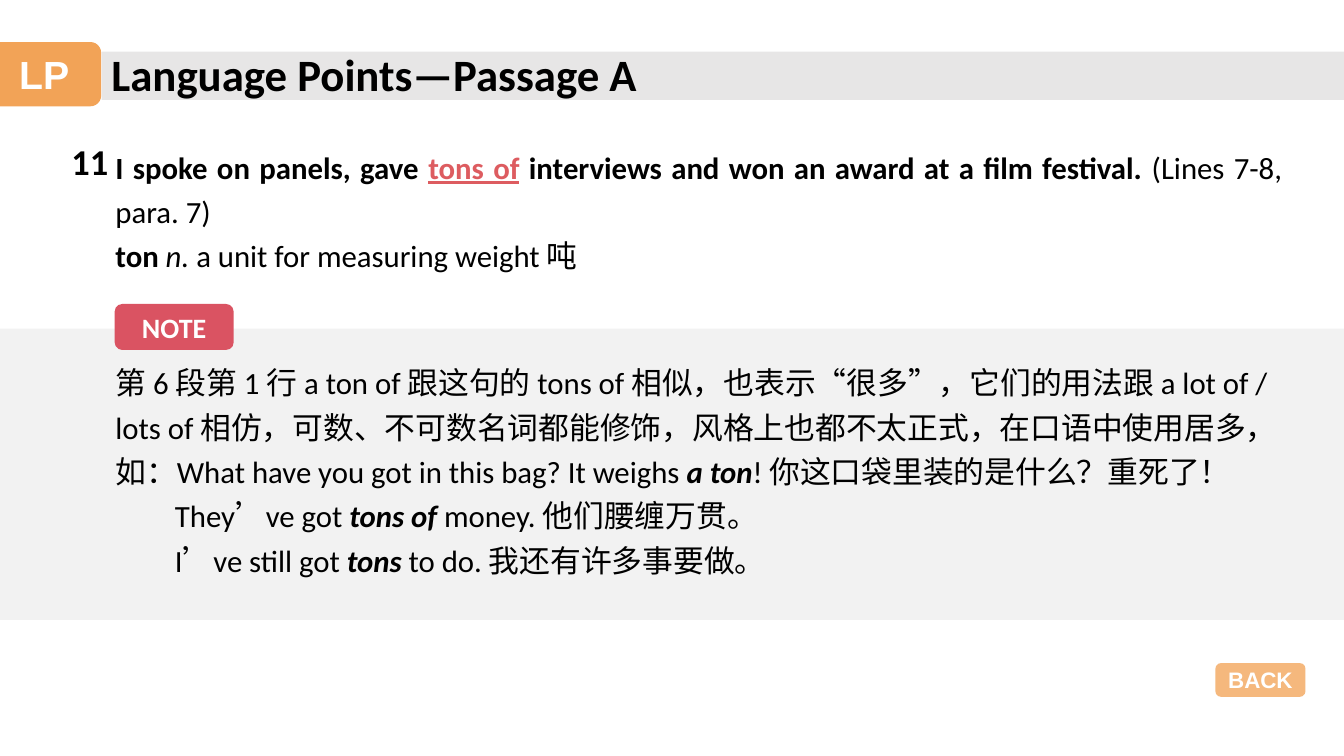
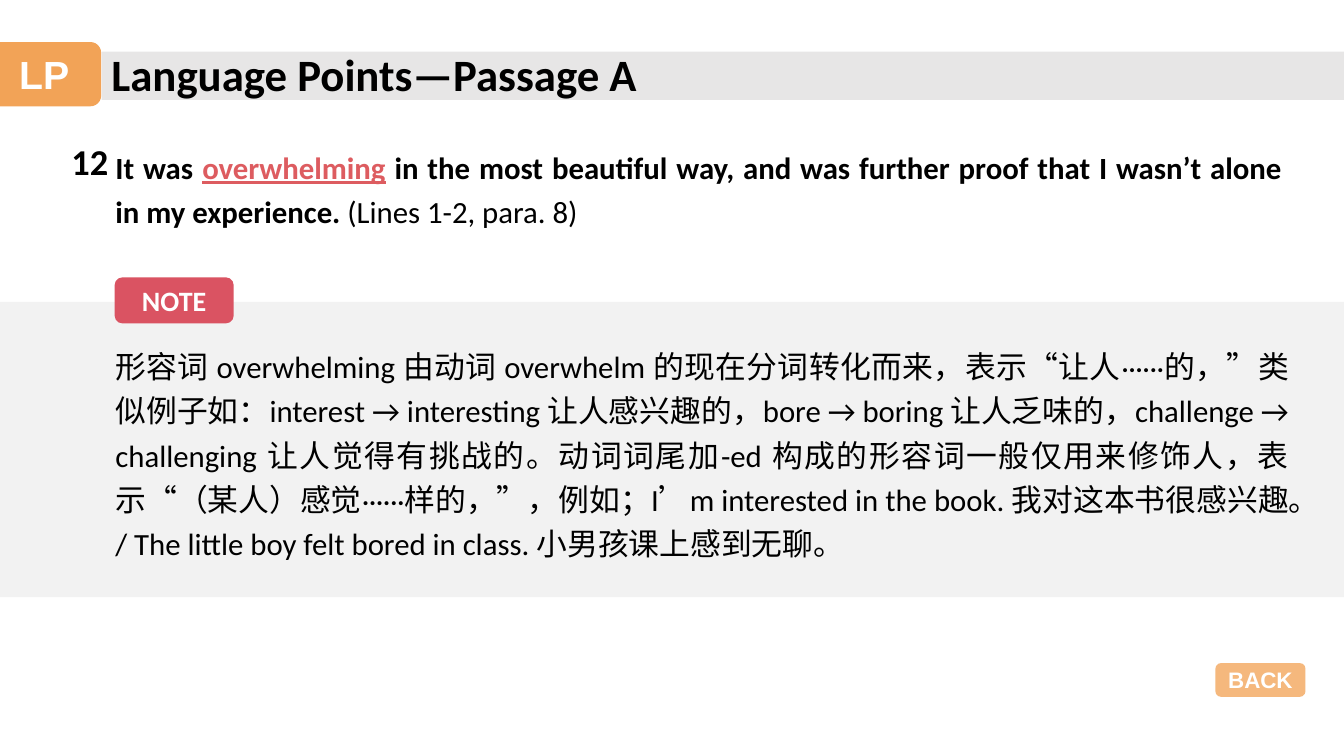
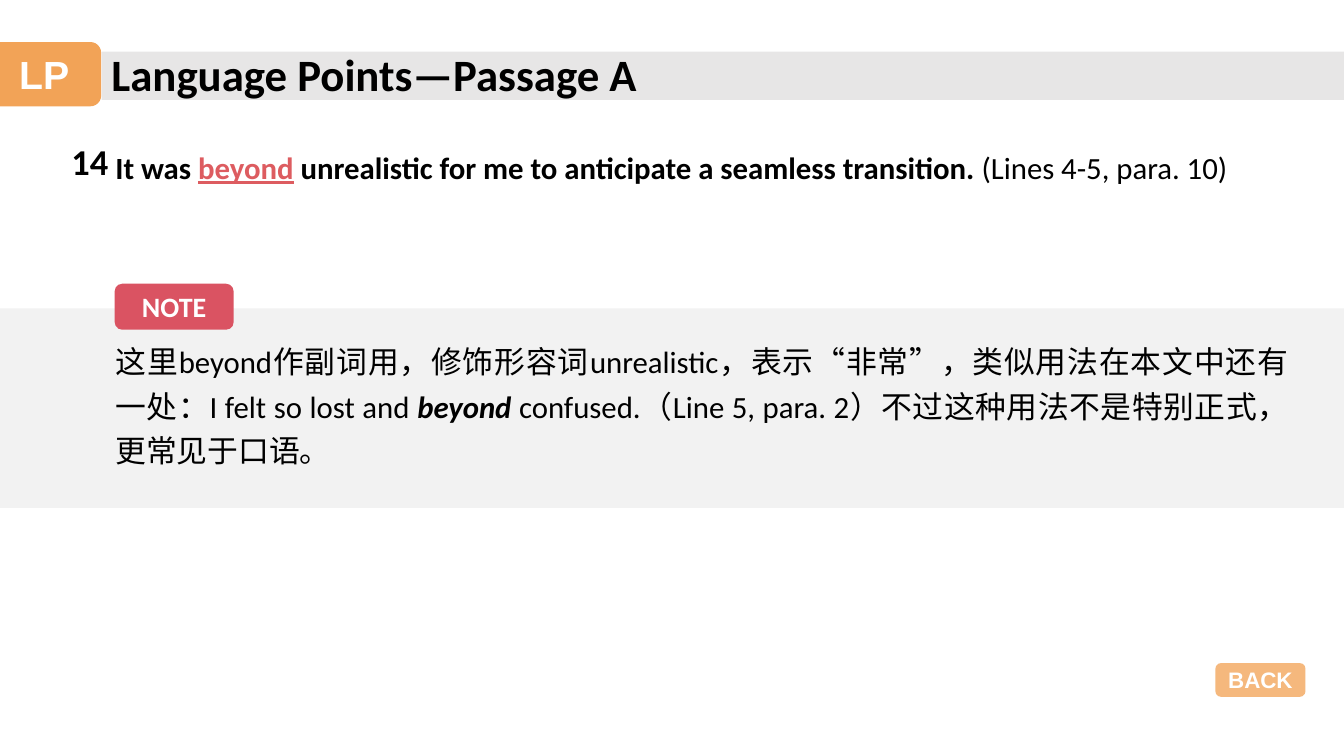
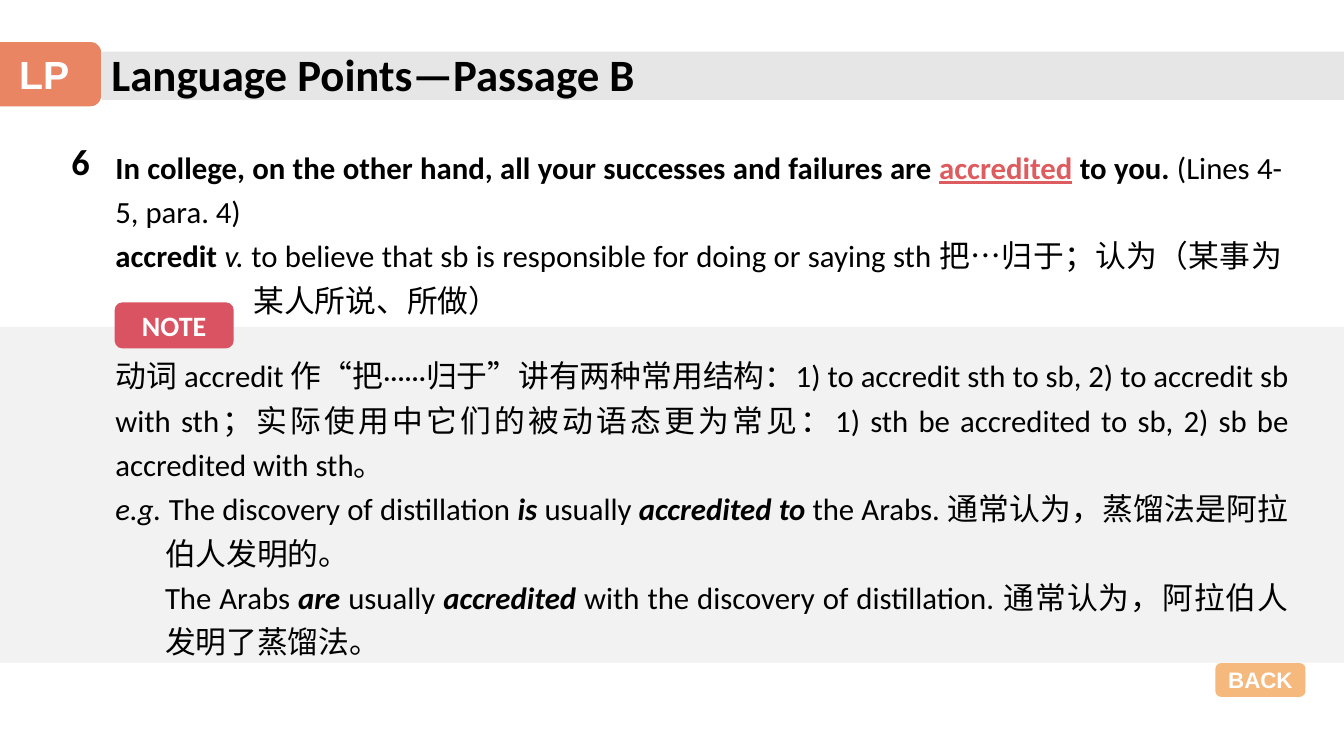
from dataclasses import dataclass

from lxml.etree import SubElement
from pptx import Presentation
from pptx.dml.color import RGBColor
from pptx.enum.lang import MSO_LANGUAGE_ID as Language
from pptx.enum.shapes import MSO_SHAPE as Shape
from pptx.enum.text import MSO_ANCHOR as Anchor, MSO_AUTO_SIZE as AutoSize, PP_ALIGN as Align
from pptx.oxml.ns import qn
from pptx.util import Cm, Pt

BLACK = RGBColor(0x00, 0x00, 0x00)
WHITE = RGBColor(0xFF, 0xFF, 0xFF)
ORANGE = RGBColor(0xF1, 0x9B, 0x48)
TAB_A = RGBColor(0xF2, 0xA3, 0x57)
TAB_B = RGBColor(0xE9, 0x85, 0x62)
RED = RGBColor(0xDA, 0x53, 0x62)
KEYWORD = RGBColor(0xDD, 0x5C, 0x60)
TITLE_BAND = RGBColor(0xE7, 0xE6, 0xE6)
NOTE_BAND = RGBColor(0xF2, 0xF2, 0xF2)

SLIDE_WIDTH, SLIDE_HEIGHT = 33.87, 19.05
TEXT_LEFT = 2.66
TAG_RISE = 0.62

BOLD = {"bold": True}
ITALIC = {"italic": True}
STRESS = {"bold": True, "italic": True}
KEY = {"bold": True, "underline": True, "color": KEYWORD}
DOTS = ("······", {"size": 20})


@dataclass
class Line:
    spans: list
    left: float = 0
    first: float = 0


@dataclass
class Point:
    passage: str
    tab: RGBColor
    number: str
    sentence: list
    sentence_height: float
    band_top: float
    band_height: float
    note: list
    note_top: float
    note_height: float
    note_width: float = 30.07


POINTS = [
    Point(
        "A", TAB_A, "11",
        [
            Line([("I spoke on panels, gave ", BOLD), ("tons of", KEY),
                  (" interviews and won an award at a film festival. ", BOLD),
                  "(Lines 7-8, para. 7)"]),
            Line([("ton ", BOLD), ("n. ", ITALIC), "a unit for measuring weight 吨"]),
        ],
        3.56, 8.28, 7.34,
        [
            Line(["第 6 段第 1 行 a ton of 跟这句的 tons of 相似，也表示“很多”，它们的用法跟 a lot of /"]),
            Line(["lots of 相仿，可数、不可数名词都能修饰，风格上也都不太正式，在口语中使用居多，"]),
            Line(["如：What have you got in this bag? It weighs ", ("a ton", STRESS),
                  "! 你这口袋里装的是什么？重死了！"]),
            Line(["They’ve got ", ("tons of ", STRESS), "money. 他们腰缠万贯。"], left=1.5),
            Line(["I’ve still got ", ("tons", STRESS), " to do. 我还有许多事要做。"], left=1.5),
        ],
        8.86, 5.82, 31.3,
    ),
    Point(
        "A", TAB_A, "12",
        [
            Line([("It was ", BOLD), ("overwhelming", KEY),
                  (" in the most beautiful way, and was further proof that I wasn’t alone "
                   "in my experience. ", BOLD),
                  "(Lines 1-2, para. 8)"]),
        ],
        2.44, 7.61, 7.44,
        [
            Line(["形容词 overwhelming 由动词 overwhelm 的现在分词转化而来，表示“让人", DOTS,
                  "的，”类似例子如：interest → interesting 让人感兴趣的，bore → boring 让人乏味的，"
                  "challenge → challenging 让人觉得有挑战的。动词词尾加-ed 构成的形容词一般仅用来"
                  "修饰人，表示“（某人）感觉", DOTS,
                  "样的，”，例如；I’m interested in the book. 我对这本书很感兴趣。"
                  "/ The little boy felt bored in class. 小男孩课上感到无聊。"]),
        ],
        8.45, 6,
    ),
    Point(
        "A", TAB_A, "14",
        [
            Line([("It was ", BOLD), ("beyond", KEY),
                  (" unrealistic for me to anticipate a seamless transition. ", BOLD),
                  "(Lines 4-5, para. 10)"], left=1.47, first=-1.47),
        ],
        1.32, 7.77, 5.03,
        [
            Line(["这里beyond作副词用，修饰形容词unrealistic，表示“非常”，类似用法在本文中还"
                  "有一处：I felt so lost and ", ("beyond", STRESS),
                  " confused.（Line 5, para. 2）不过这种用法不是特别正式，更常见于口语。"]),
        ],
        8.33, 3.56,
    ),
    Point(
        "B", TAB_B, "6",
        [
            Line([("In college, on the other hand, all your successes and failures are ", BOLD),
                  ("accredited", KEY), (" to you. ", BOLD), "(Lines 4-5, para. 4)"]),
            Line([("accredit ", BOLD), ("v.", ITALIC),
                  " to believe that sb is responsible for doing or saying sth "
                  "把…归于；认为（某事为某人所说、所做）"], left=3.48, first=-3.48),
        ],
        4.67, 8.24, 8.46,
        [
            Line(["动词 accredit 作“把", DOTS,
                  "归于”讲有两种常用结构：1) to accredit sth to sb, 2) to accredit sb with sth；"
                  "实际使用中它们的被动语态更为常见：1) sth be accredited to sb, "
                  "2) sb be accredited with sth。"]),
            Line([("e.g. ", ITALIC), "The discovery of distillation ", ("is", STRESS), " usually ",
                  ("accredited to", STRESS), " the Arabs. 通常认为，蒸馏法是阿拉伯人发明的。"],
                 left=1.25, first=-1.25),
            Line(["The Arabs ", ("are", STRESS), " usually ", ("accredited ", STRESS),
                  "with the discovery of distillation. 通常认为，阿拉伯人发明了蒸馏法。"], left=1.25),
        ],
        8.69, 8.26,
    ),
]


def write(para, text, *, size=22, font="Calibri", color=BLACK, bold=False, italic=False,
          underline=False, language=None):
    span = para.add_run()
    span.text = text
    span.font.size = Pt(size)
    span.font.name = font
    span.font.color.rgb = color
    span.font.bold = bold
    span.font.italic = italic
    span.font.underline = underline
    span.font.language_id = language


def add_box(page, left, top, width, height):
    box = page.shapes.add_textbox(Cm(left), Cm(top), Cm(width), Cm(height))
    box.text_frame.word_wrap = True
    box.text_frame.auto_size = AutoSize.SHAPE_TO_FIT_TEXT
    return box.text_frame


def add_title(page, passage):
    para = add_box(page, 2.56, 1.05, 14.45, 1.63).paragraphs[0]
    write(para, "Language Points", size=32, bold=True, language=Language.ENGLISH_US)
    write(para, f"—Passage {passage}", size=32, bold=True)


def add_number(page, number):
    frame = add_box(page, 1.55, 3.38, 1.6, 1.37)
    write(frame.paragraphs[0], number, size=26, bold=True)


def add_lines(page, top, width, height, lines):
    frame = add_box(page, TEXT_LEFT, top, width, height)
    for index, line in enumerate(lines):
        para = frame.add_paragraph() if index else frame.paragraphs[0]
        para.alignment = Align.JUSTIFY
        para.line_spacing = 1.2
        if line.left:
            properties = para._p.get_or_add_pPr()
            properties.set("marL", str(Cm(line.left)))
            properties.set("indent", str(Cm(line.first)))
        for span in line.spans:
            text, style = (span, {}) if isinstance(span, str) else span
            write(para, text, **style)


def add_block(page, kind, left, top, width, height, color):
    block = page.shapes.add_shape(kind, Cm(left), Cm(top), Cm(width), Cm(height))
    block.shadow.inherit = False
    block.fill.solid()
    block.fill.fore_color.rgb = color
    block.line.fill.background()
    return block


def add_tag(page, left, top, width, height, color, text, **style):
    tag = add_block(page, Shape.ROUNDED_RECTANGLE, left, top, width, height, color)
    frame = tag.text_frame
    frame.word_wrap = False
    frame.vertical_anchor = Anchor.MIDDLE
    frame.paragraphs[0].alignment = Align.CENTER
    write(frame.paragraphs[0], text, color=WHITE, bold=True, **style)
    return tag


def set_opacity(shape, percent):
    color = shape._element.spPr.find(qn("a:solidFill"))[0]
    SubElement(color, qn("a:alpha")).set("val", str(percent * 1000))


def add_frame(page, passage, tab):
    add_block(page, Shape.RECTANGLE, 2.56, 1.3, SLIDE_WIDTH - 2.56, 1.22, TITLE_BAND)
    add_tag(page, -0.32, 1.06, 2.87, 1.62, tab, "LP", size=28, font="Arial")
    add_title(page, passage)
    back = add_tag(page, 30.63, 16.71, 2.27, 0.85, ORANGE, "BACK", size=16, font="Arial")
    set_opacity(back, 71)


def add_point(page, point):
    add_block(page, Shape.RECTANGLE, 0, point.band_top, SLIDE_WIDTH, point.band_height, NOTE_BAND)
    add_frame(page, point.passage, point.tab)
    add_number(page, point.number)
    add_lines(page, 3.43, 29.9, point.sentence_height, point.sentence)
    add_lines(page, point.note_top, point.note_width, point.note_height, point.note)
    add_tag(page, 2.89, point.band_top - TAG_RISE, 3, 1.16, RED, "NOTE", size=20)


def main():
    deck = Presentation()
    deck.slide_width = Cm(SLIDE_WIDTH)
    deck.slide_height = Cm(SLIDE_HEIGHT)
    for point in POINTS:
        add_point(deck.slides.add_slide(deck.slide_layouts[6]), point)
    deck.save("out.pptx")


if __name__ == "__main__":
    main()
